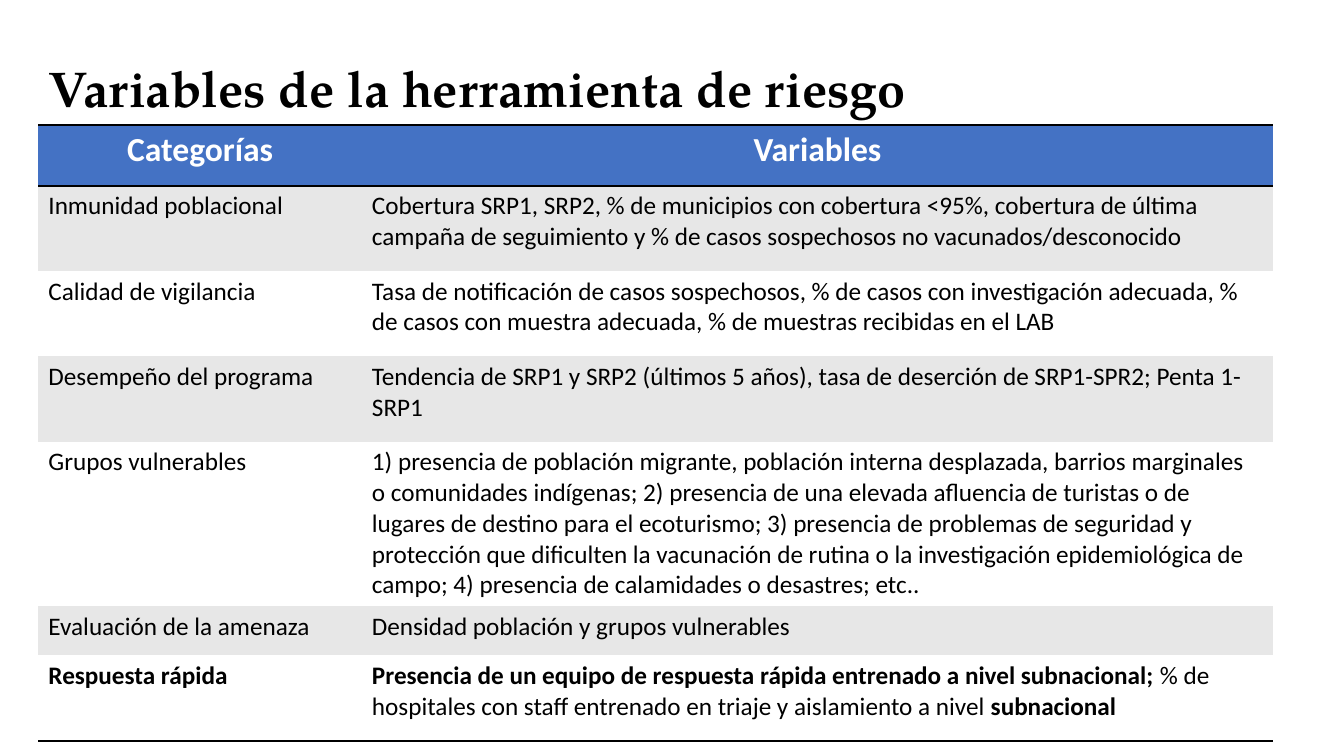
"""Build the slide on the variables of the risk tool."""
from lxml.etree import SubElement
from pptx import Presentation
from pptx.dml.color import RGBColor
from pptx.enum.text import MSO_ANCHOR, PP_ALIGN
from pptx.oxml import parse_xml
from pptx.oxml.ns import nsdecls, qn
from pptx.util import Pt

TITLE = "Variables de la herramienta de riesgo"
HEAD = ("Categorías", "Variables")
ROWS = [
    ("Inmunidad poblacional",
     "Cobertura SRP1, SRP2, % de municipios con cobertura <95%, cobertura de última "
     "campaña de seguimiento y % de casos sospechosos no vacunados/desconocido"),
    ("Calidad de vigilancia",
     "Tasa de notificación de casos sospechosos, % de casos con investigación adecuada, "
     "% de casos con muestra adecuada, % de muestras recibidas en el LAB"),
    ("Desempeño del programa",
     "Tendencia de SRP1 y SRP2 (últimos 5 años), tasa de deserción de SRP1-SPR2; "
     "Penta 1-SRP1"),
    ("Grupos vulnerables",
     "1) presencia de población migrante, población interna desplazada, barrios "
     "marginales o comunidades indígenas; 2) presencia de una elevada afluencia de "
     "turistas o de lugares de destino para el ecoturismo; 3) presencia de problemas de "
     "seguridad y protección que dificulten la vacunación de rutina o la investigación "
     "epidemiológica de campo; 4) presencia de calamidades o desastres; etc.."),
    ("Evaluación de la amenaza", "Densidad población y grupos vulnerables"),
    ([("Respuesta rápida", True)],
     [("Presencia de un equipo de respuesta rápida entrenado a nivel subnacional; ", True),
      ("% de hospitales con staff entrenado en triaje y aislamiento a nivel ", False),
      ("subnacional", True)]),
]
WIDTHS = (231.1, 650.9)
HEIGHTS = (43.4, 61, 61, 61, 117.4, 35.2, 61)
LEFT, TOP = 27.4, 89.3
BLACK, WHITE, BLUE, GRAY = "000000", "FFFFFF", "4472C4", "E7E7E7"
PLAIN = "{2D5ABB26-0587-4C30-8999-92F81FD0307C}"


def color(code):
    return RGBColor.from_string(code)


def style(font, shade, **look):
    for key, value in look.items():
        setattr(font, key, value)
    font.color.rgb = color(shade)


def rule(cell, sides):
    props = cell._tc.get_or_add_tcPr()
    for place, side in enumerate(sides):
        line = parse_xml(f'<a:ln{side} {nsdecls("a")} w="25400"/>')
        fill = SubElement(line, qn("a:solidFill"))
        SubElement(fill, qn("a:srgbClr")).set("val", BLACK)
        props.insert(place, line)


def add_title(slide):
    title = slide.shapes.title
    box = {"left": 27.4, "top": 32.4, "width": 828, "height": 64.8}
    for key, value in box.items():
        setattr(title, key, Pt(value))
    frame = title.text_frame
    frame.text = TITLE
    frame.vertical_anchor = MSO_ANCHOR.MIDDLE
    para = frame.paragraphs[0]
    para.alignment = PP_ALIGN.LEFT
    para.line_spacing = 0.9
    style(para.runs[0].font, BLACK, name="TeX Gyre Pagella", size=Pt(36), bold=True)


def add_table(slide):
    data = [HEAD] + ROWS
    frame = slide.shapes.add_table(len(data), len(HEAD), Pt(LEFT), Pt(TOP),
                                   Pt(sum(WIDTHS)), Pt(sum(HEIGHTS)))
    table = frame.table
    table._tbl.tblPr.find(qn("a:tableStyleId")).text = PLAIN
    table.first_row = table.horz_banding = False
    for col, width in zip(table.columns, WIDTHS):
        col.width = Pt(width)
    for at, (row, height, texts) in enumerate(zip(table.rows, HEIGHTS, data)):
        row.height = Pt(height)
        head, last = at == 0, at == len(ROWS)
        for cell, text in zip(row.cells, texts):
            cell.fill.solid()
            cell.fill.fore_color.rgb = color(BLUE if head else GRAY if at % 2 else WHITE)
            rule(cell, "TB" if head else "B" if last else "")
            para = cell.text_frame.paragraphs[0]
            para.alignment = PP_ALIGN.CENTER if head else PP_ALIGN.LEFT
            for words, bold in [(text, head)] if isinstance(text, str) else text:
                run = para.add_run()
                run.text = words
                style(run.font, WHITE if head else BLACK, name="Calibri",
                      size=Pt(24 if head else 18), bold=bold)


def main():
    deck = Presentation()
    deck.slide_width, deck.slide_height = Pt(960), Pt(540)
    slide = deck.slides.add_slide(deck.slide_layouts[5])
    add_title(slide)
    add_table(slide)
    deck.save("out.pptx")


if __name__ == "__main__":
    main()
